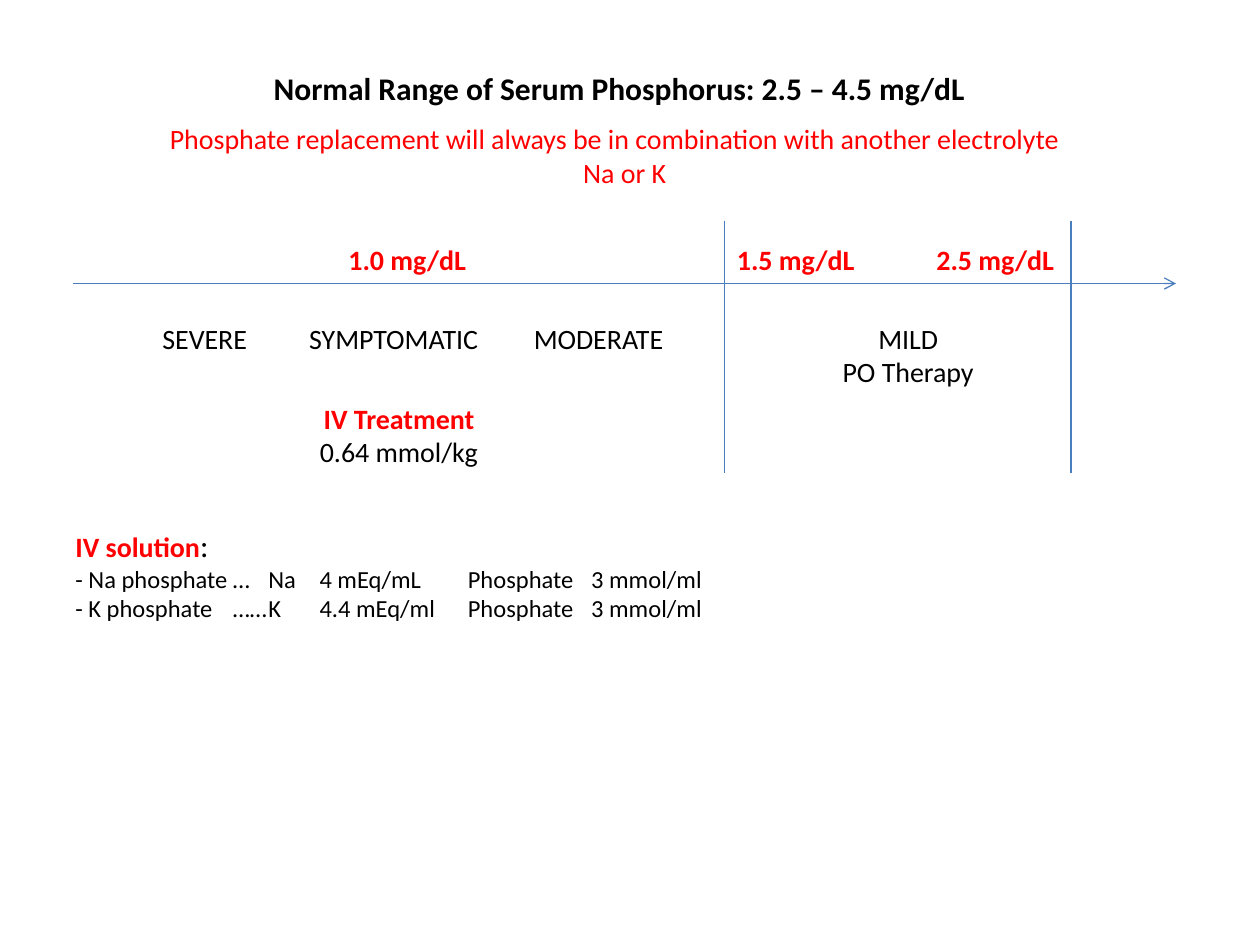
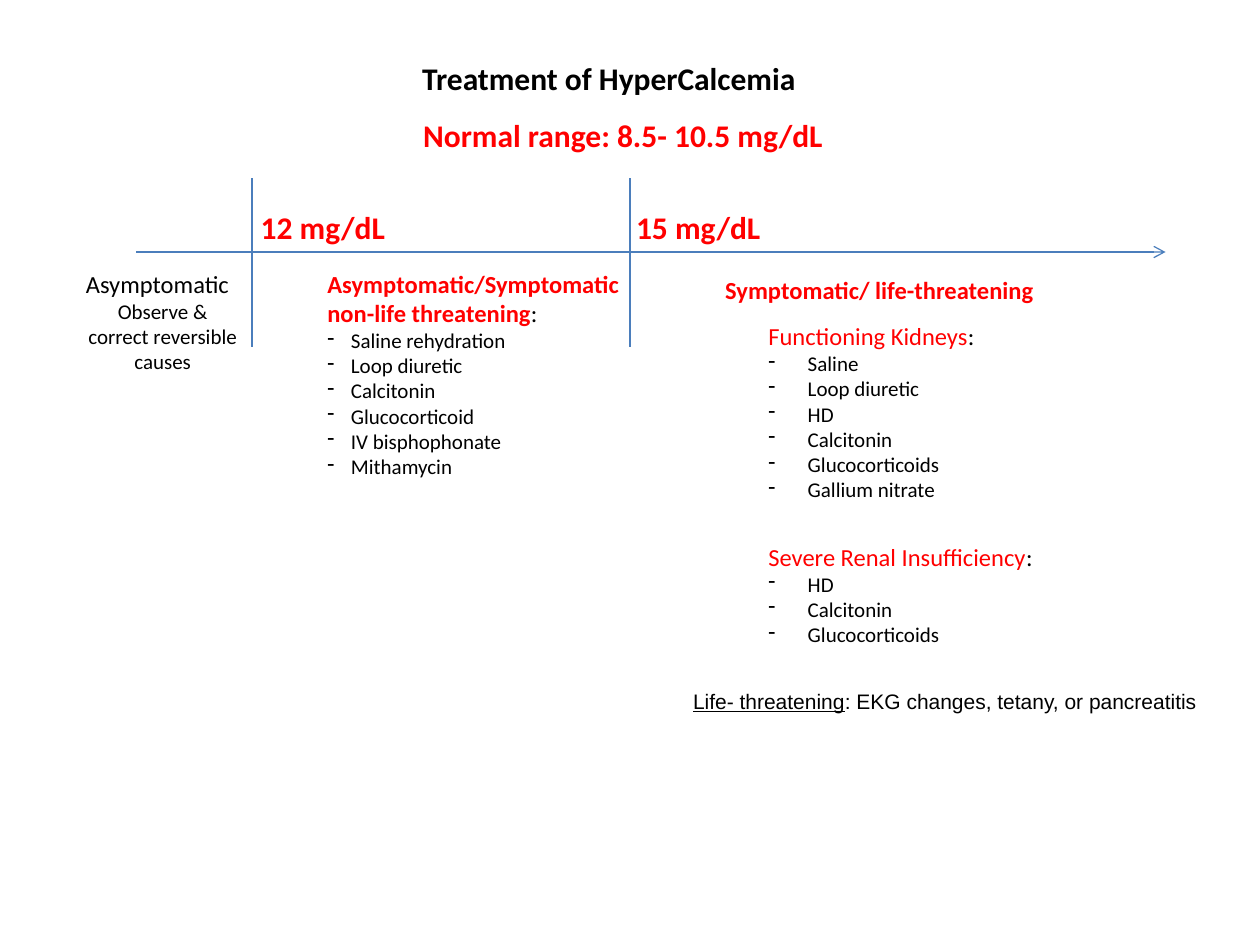
from dataclasses import dataclass

from lxml import etree
from pptx import Presentation
from pptx import util as u
from pptx.dml.color import RGBColor
from pptx.enum import shapes, text
from pptx.oxml.ns import qn

PX = 9525  # EMU in one px, 96 px to the inch
BLACK = RGBColor(0x00, 0x00, 0x00)
RED = RGBColor(0xFF, 0x00, 0x00)
BLUE = RGBColor(0x4B, 0x7E, 0xBC)
LEFT = text.PP_ALIGN.LEFT
MID = text.PP_ALIGN.CENTER


@dataclass(frozen=True)
class Run:
    """Words that differ from their paragraph's font."""
    words: str
    color: RGBColor | None = None
    size: int | None = None
    bold: bool | None = None
    line: bool | None = None


@dataclass(frozen=True)
class Para:
    runs: str | tuple[Run, ...]
    size: int = 16
    color: RGBColor = BLACK
    bold: bool = False
    align: text.PP_ALIGN = MID
    dash: int = 0
    tabs: tuple[int, ...] = ()
    face: str = "Calibri"


@dataclass(frozen=True)
class Box:
    left: int
    top: int
    width: int
    height: int
    paras: tuple[Para, ...]


@dataclass(frozen=True)
class Line:
    start: tuple[int, int]
    end: tuple[int, int]
    arrow: bool = False


def px(count: int) -> u.Emu:
    return u.Emu(count * PX)


def style(font, part: Run | Para) -> None:
    """Set on the font what the run or paragraph states."""
    if part.size is not None:
        font.size = u.Pt(part.size)
    if part.bold is not None:
        font.bold = part.bold
    if part.color is not None:
        font.color.rgb = part.color


def write(para, item: Para) -> None:
    props = para._p.get_or_add_pPr()
    if item.dash:
        props.set("marL", str(px(item.dash)))
        props.set("indent", str(-px(item.dash)))
        etree.SubElement(props, qn("a:buChar"), char="-")
    if item.tabs:
        stops = etree.SubElement(props, qn("a:tabLst"))
        for stop in item.tabs:
            etree.SubElement(stops, qn("a:tab"), pos=str(px(stop)), algn="l")
    para.alignment = item.align
    para.font.name = item.face
    style(para.font, item)
    runs = (Run(item.runs),) if isinstance(item.runs, str) else item.runs
    for part in runs:
        run = para.add_run()
        run.text = part.words
        style(run.font, part)
        if part.line:
            run.font.underline = True


def fill(shape, box: Box) -> None:
    """Place the shape and write the box's paragraphs in it."""
    shape.left, shape.top = px(box.left), px(box.top)
    shape.width, shape.height = px(box.width), px(box.height)
    frame = shape.text_frame
    frame.word_wrap = True
    frame.auto_size = text.MSO_AUTO_SIZE.NONE
    frame.vertical_anchor = text.MSO_ANCHOR.TOP
    for spot, item in enumerate(box.paras):
        write(frame.add_paragraph() if spot else frame.paragraphs[0], item)


def draw(slide, line: Line) -> None:
    link = slide.shapes.add_connector(
        shapes.MSO_CONNECTOR.STRAIGHT, *map(px, line.start + line.end))
    link.line.color.rgb = BLUE
    link.line.width = u.Pt(0.75)
    if line.arrow:
        etree.SubElement(link.line._get_or_add_ln(), qn("a:tailEnd"), type="arrow")
    etree.SubElement(link._element.spPr, qn("a:effectLst"))


def build(deck, title: Box, lines: list[Line], boxes: list[Box]) -> None:
    slide = deck.slides.add_slide(deck.slide_layouts[5])
    fill(slide.shapes.title, title)
    for line in lines:
        draw(slide, line)
    for box in boxes:
        fill(slide.shapes.add_textbox(0, 0, 0, 0), box)


def head(words: str) -> Para:
    return Para(words, size=18, bold=True)


def level(left: int, top: int, width: int, words: str, size: int, align=MID) -> Box:
    """A serum level above the axis."""
    return Box(left, top, width, 38, (Para(words, size, RED, True, align),))


def grade(left: int, width: int, *words: str) -> Box:
    """A severity below the phosphorus axis."""
    return Box(left, 240, width, 62, tuple(Para(word) for word in words))


def bars(tops: int, ends: int, *lefts: int) -> list[Line]:
    return [Line((left, tops), (left, ends)) for left in lefts]


def plan(left: int, top: int, width: int, name: str, dash: int,
         drugs: tuple[str, ...], bold: bool = False) -> Box:
    """A red heading with a dashed list of treatments."""
    title = Para((Run(name, RED, bold=bold), Run(":")), 14, align=LEFT)
    items = tuple(Para(drug, 12, align=LEFT, dash=dash) for drug in drugs)
    return Box(left, top, width, 34 + 20 * len(drugs), (title, *items))


def phosphorus(deck) -> None:
    tabs = (120, 147, 186, 299, 393)
    salts = ("- Na phosphate\t…\tNa\t4 mEq/mL\tPhosphate\t3 mmol/ml",
             "- K phosphate\t……\tK\t4.4 mEq/ml\tPhosphate\t3 mmol/ml")
    build(
        deck,
        Box(184, 48, 576, 38,
            (head("Normal Range of Serum Phosphorus: 2.5 – 4.5 mg/dL"),)),
        [Line((56, 216), (896, 216), True), *bars(168, 360, 552, 816)],
        [
            *(level(left, 180, 120, words, 16, LEFT) for left, words in
              ((256, "1.0 mg/dL"), (552, "1.5 mg/dL"), (704, "2.5 mg/dL"))),
            grade(104, 104, "SEVERE"),
            grade(224, 152, "SYMPTOMATIC"),
            grade(392, 128, "MODERATE"),
            grade(616, 152, "MILD", "PO Therapy"),
            Box(228, 301, 152, 62,
                (Para("IV Treatment", color=RED, bold=True), Para("0.64 mmol/kg"))),
            Box(120, 88, 712, 62, (
                Para("Phosphate replacement will always be in combination "
                     "with another electrolyte", color=RED, align=LEFT),
                Para("Na or K", color=RED))),
            Box(48, 396, 504, 84, (
                Para((Run("IV solution", RED, bold=True), Run(":", size=18)),
                     align=LEFT),
                *(Para(salt, 14, align=LEFT, tabs=tabs) for salt in salts))),
        ])


def calcium(deck) -> None:
    build(
        deck,
        Box(312, 40, 320, 38, (
            Para("Treatment of HyperCalcemia", 18, bold=True, align=LEFT),)),
        [Line((104, 192), (888, 192), True), *bars(136, 264, 192, 480)],
        [
            level(313, 84, 336, "Normal range: 8.5- 10.5 mg/dL", 18, LEFT),
            level(178, 154, 136, "12 mg/dL", 18),
            level(464, 154, 136, "15 mg/dL", 18),
            Box(56, 200, 136, 90, (
                Para("Asymptomatic", 14, align=LEFT),
                Para("Observe & correct reversible causes", 12))),
            plan(240, 200, 280, "Asymptomatic/Symptomatic non-life threatening", 18,
                 ("Saline rehydration", "Loop diuretic", "Calcitonin",
                  "Glucocorticoid", "IV bisphophonate", "Mithamycin"), True),
            level(532, 205, 276, "Symptomatic/ life-threatening", 14),
            plan(576, 240, 192, "Functioning Kidneys", 30,
                 ("Saline", "Loop diuretic", "HD", "Calcitonin",
                  "Glucocorticoids", "Gallium nitrate")),
            plan(576, 408, 248, "Severe Renal Insufficiency", 30,
                 ("HD", "Calcitonin", "Glucocorticoids")),
            Box(504, 520, 432, 29, (
                Para((Run("Life- threatening", line=True),
                      Run(": EKG changes, tetany, or pancreatitis")),
                     12, face="Arial"),)),
        ])


def main() -> None:
    deck = Presentation()
    deck.slide_width, deck.slide_height = px(960), px(720)
    phosphorus(deck)
    calcium(deck)
    deck.save("out.pptx")


if __name__ == "__main__":
    main()
